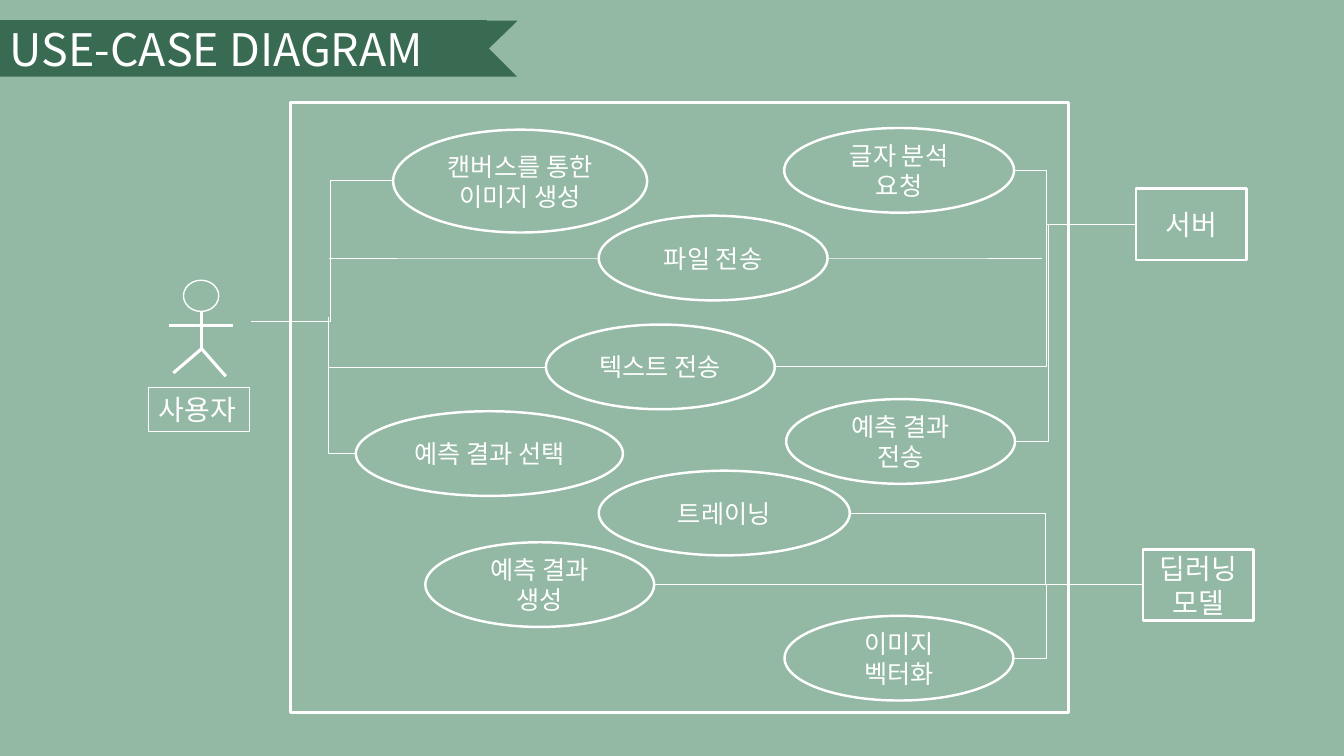
from dataclasses import dataclass

from lxml.etree import SubElement
from pptx import Presentation
from pptx.dml.color import RGBColor
from pptx.enum.shapes import MSO_CONNECTOR, MSO_SHAPE
from pptx.enum.text import MSO_ANCHOR, PP_ALIGN
from pptx.oxml.ns import qn
from pptx.util import Inches, Pt


@dataclass
class Theme:
    background: RGBColor = RGBColor(0x93, 0xB8, 0xA4)
    ribbon: RGBColor = RGBColor(0x39, 0x6B, 0x52)
    ink: RGBColor = RGBColor(0xFF, 0xFF, 0xFF)
    font: str = "Noto Sans CJK KR"
    title_size: int = 32
    actor_size: int = 20
    case_size: int = 18


theme = Theme()
presentation = Presentation()
presentation.slide_width = Inches(40 / 3)
presentation.slide_height = Inches(7.5)
CELL = presentation.slide_width / 40  # square grid: 40 columns, 22.5 rows

slide = presentation.slides.add_slide(presentation.slide_layouts[6])
slide.background.fill.solid()
slide.background.fill.fore_color.rgb = theme.background


def add_box(kind, place, lines=(), size=0, outline=0, fill=None, align=PP_ALIGN.CENTER):
    """Add a shape placed in grid cells, with one paragraph per line of text."""
    shape = slide.shapes.add_shape(kind, *[round(length * CELL) for length in place])
    shape.shadow.inherit = False
    if fill is None:
        shape.fill.background()
    else:
        shape.fill.solid()
        shape.fill.fore_color.rgb = fill
    if outline:
        shape.line.color.rgb = theme.ink
        shape.line.width = Pt(outline)
    else:
        shape.line.fill.background()
    frame = shape.text_frame
    frame.word_wrap = True
    frame.vertical_anchor = MSO_ANCHOR.MIDDLE
    for index, line in enumerate(lines):
        paragraph = frame.add_paragraph() if index else frame.paragraphs[0]
        paragraph.alignment = align
        run = paragraph.add_run()
        run.text = line
        run.font.size = Pt(size)
        run.font.color.rgb = theme.ink
        run.font.name = theme.font
        SubElement(run.font._element, qn("a:ea"), typeface=theme.font)
    return shape


def add_line(kind, begin, end, width, bend=None):
    """Join two grid points; an elbow turns at the column given by bend."""
    points = [round(length * CELL) for length in (*begin, *end)]
    connector = slide.shapes.add_connector(kind, *points)
    connector.line.color.rgb = theme.ink
    connector.line.width = Pt(width)
    properties = connector._element.spPr
    SubElement(properties, qn("a:effectLst"))
    if bend is not None:
        share = round((bend - begin[0]) / (end[0] - begin[0]) * 100000)
        guides = properties.find(qn("a:prstGeom")).get_or_add_avLst()
        SubElement(guides, qn("a:gd"), name="adj1", fmla=f"val {share}")


# Title ribbon
add_box(MSO_SHAPE.RECTANGLE, (0, 0.6, 14.49, 1.68), fill=theme.ribbon)
add_box(MSO_SHAPE.RIGHT_TRIANGLE, (14.49, 1.38, 0.9, 0.9), fill=theme.ribbon)
upper_tail = add_box(MSO_SHAPE.RIGHT_TRIANGLE, (14.49, 0.6, 0.9, 0.93), fill=theme.ribbon)
upper_tail.rotation = 90
add_box(MSO_SHAPE.RECTANGLE, (0, 0.48, 14.94, 1.92), ["USE-CASE DIAGRAM"],
        theme.title_size, align=PP_ALIGN.LEFT)

# User figure: head, then arms, body and legs
add_box(MSO_SHAPE.OVAL, (5.46, 8.34, 1.05, 0.93), outline=1)
limbs = [
    ((5.04, 9.69), (6.93, 9.69)),
    ((6, 9.27), (6, 10.38)),
    ((6, 10.38), (5.16, 11.1)),
    ((6, 10.38), (6.72, 11.2)),
]
for begin, end in limbs:
    add_line(MSO_CONNECTOR.STRAIGHT, begin, end, 2.25)

# System boundary and actors
add_box(MSO_SHAPE.RECTANGLE, (8.64, 3.06, 23.16, 18.15), outline=2)
user_label = add_box(MSO_SHAPE.RECTANGLE, (4.43, 11.53, 3, 1.32), ["사용자"],
                     theme.actor_size, 0.75, align=PP_ALIGN.LEFT)
user_label.text_frame.word_wrap = False
add_box(MSO_SHAPE.RECTANGLE, (33.81, 5.61, 3.3, 2.13), ["서버"], theme.actor_size, 2)
add_box(MSO_SHAPE.RECTANGLE, (34.02, 16.35, 3.3, 2.13), ["딥러닝", "모델"],
        theme.actor_size, 2)

# Use cases: left, top, width, height, lines
use_cases = [
    (11.7, 3.86, 7.56, 3.06, ["캔버스를 통한 이미지 생성"]),
    (10.59, 12.24, 7.95, 2.52, ["예측 결과 선택"]),
    (17.82, 6.42, 6.81, 2.52, ["파일 전송"]),
    (16.25, 9.66, 6.81, 2.52, ["텍스트 전송"]),
    (23.4, 11.88, 6.81, 2.52, ["예측 결과", "전송"]),
    (23.35, 18.33, 6.81, 2.52, ["이미지", "벡터화"]),
    (12.66, 16.14, 6.81, 2.52, ["예측 결과", "생성"]),
    (17.82, 14.01, 7.47, 2.52, ["트레이닝"]),
    (23.34, 3.81, 6.84, 2.52, ["글자 분석", "요청"]),
]
for *place, lines in use_cases:
    add_box(MSO_SHAPE.OVAL, place, lines, theme.case_size, 1.75)

# Associations: begin, end, column of the turn
server = (33.81, 6.69)
model = (34.02, 17.4)
associations = [
    ((11.7, 5.37), (7.47, 9.58), 9.84),
    ((10.59, 13.49), (9.78, 9.45), 9.78),
    ((17.82, 7.68), (9.78, 7.68), None),
    ((16.25, 10.92), (9.78, 10.92), None),
    ((24.64, 7.68), (31.02, 7.68), None),
    ((30.18, 5.07), server, 31.14),
    ((23.07, 10.92), server, 31.14),
    ((30.21, 13.14), server, 31.2),
    (model, (25.29, 15.27), 31.11),
    (model, (30.18, 19.58), 31.14),
    ((32.1, 17.4), (19.5, 17.4), None),
]
for begin, end, bend in associations:
    add_line(MSO_CONNECTOR.ELBOW, begin, end, 0.5, bend)

presentation.save("out.pptx")
